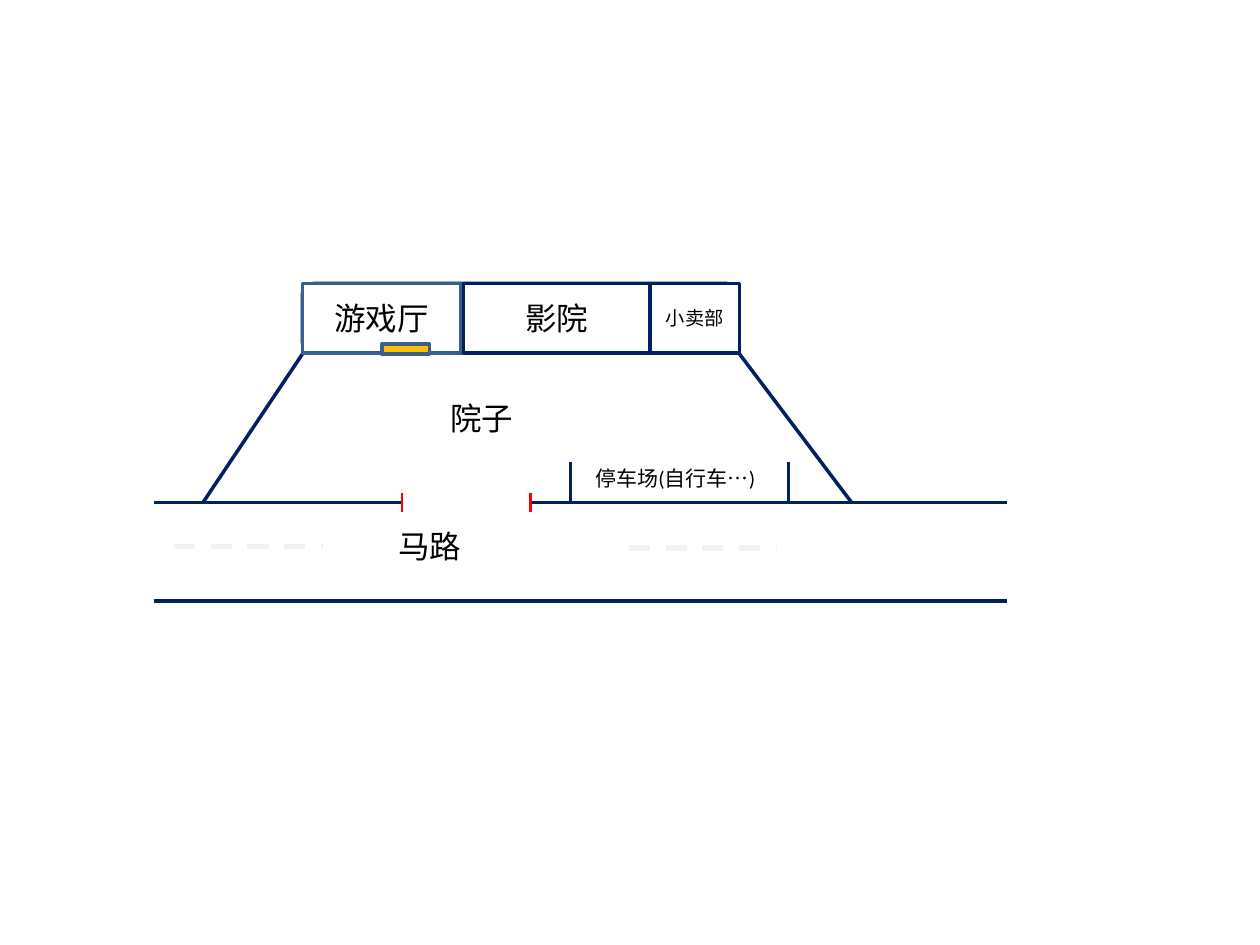
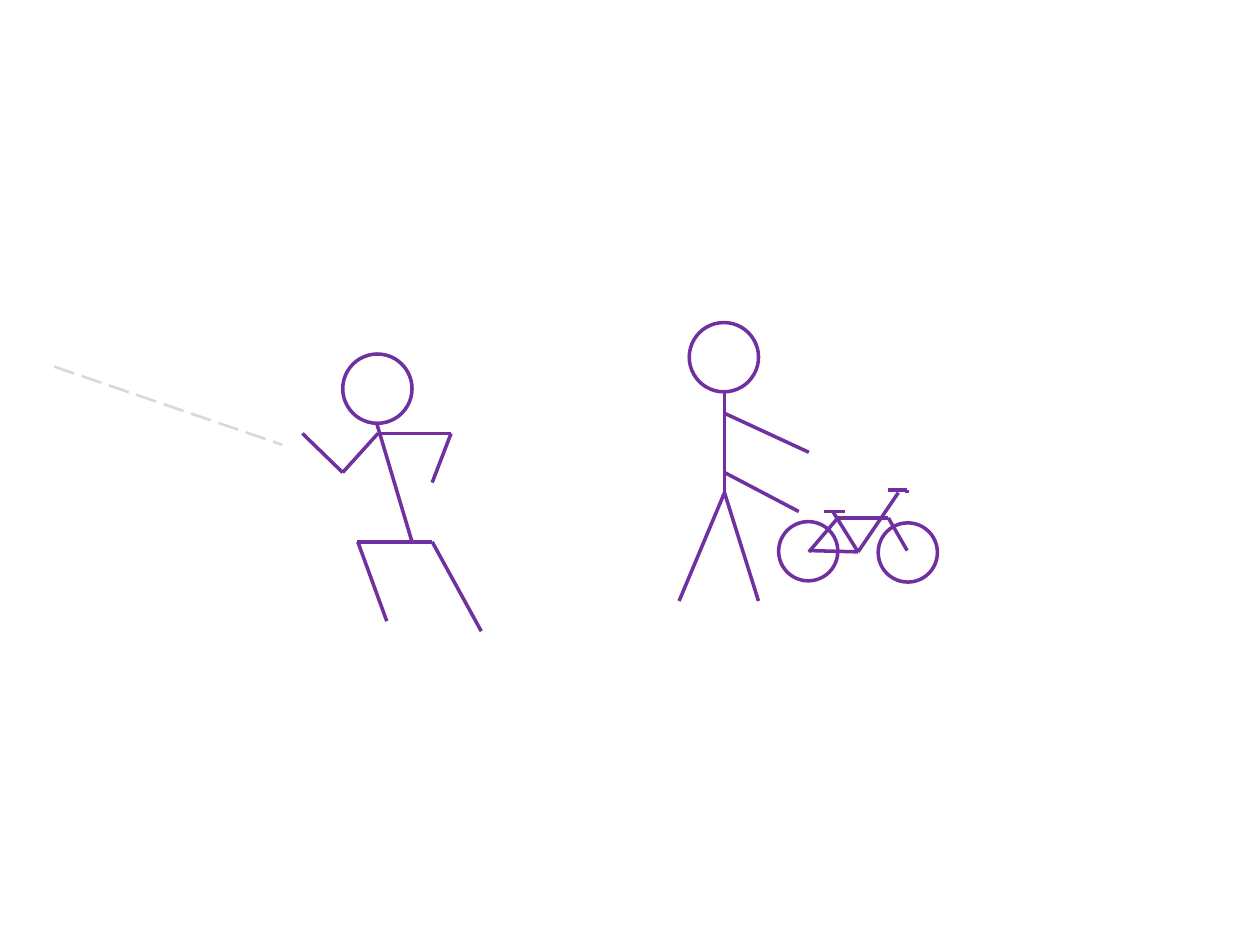
from itertools import pairwise

from lxml import etree
from pptx import Presentation
from pptx.dml.color import RGBColor
from pptx.enum.dml import MSO_LINE
from pptx.enum.shapes import MSO_CONNECTOR, MSO_SHAPE
from pptx.enum.text import MSO_ANCHOR, PP_ALIGN
from pptx.oxml.ns import qn
from pptx.util import Inches, Pt

# Shared look
NAVY = RGBColor(0x00, 0x20, 0x60)
STEEL = RGBColor(0x3A, 0x5F, 0x8C)
WHITE = RGBColor(0xFF, 0xFF, 0xFF)
BLACK = RGBColor(0x00, 0x00, 0x00)
RED = RGBColor(0xFF, 0x00, 0x00)
GOLD = RGBColor(0xFF, 0xC0, 0x00)
PURPLE = RGBColor(0x70, 0x30, 0xA0)
PALE_GREY = RGBColor(0xF2, 0xF2, 0xF2)
LIGHT_GREY = RGBColor(0xD9, 0xD9, 0xD9)
FONT = "Calibri"
RECT, ROUNDED, OVAL = MSO_SHAPE.RECTANGLE, MSO_SHAPE.ROUNDED_RECTANGLE, MSO_SHAPE.OVAL
STRAIGHT = MSO_CONNECTOR.STRAIGHT
DASH, LONG_DASH = MSO_LINE.DASH, MSO_LINE.LONG_DASH
CENTER, MIDDLE = PP_ALIGN.CENTER, MSO_ANCHOR.MIDDLE


def draw_path(slide, points, color, width=2, dash=None):
    """Join the points, given in inches, with straight lines."""
    for start, end in pairwise(points):
        stroke = slide.shapes.add_connector(
            STRAIGHT, *(Inches(value) for value in (*start, *end)))
        stroke.line.color.rgb = color
        stroke.line.width = Pt(width)
        if dash:
            stroke.line.dash_style = dash
        etree.SubElement(stroke._element.spPr, qn("a:effectLst"))


def draw_area(slide, kind, box, outline, fill=WHITE, label="", size=18):
    """Draw an outlined area with an optional centred label."""
    area = slide.shapes.add_shape(kind, *(Inches(value) for value in box))
    area.shadow.inherit = False
    area.line.color.rgb = outline
    area.line.width = Pt(2)
    if fill is None:
        area.fill.background()
    else:
        area.fill.solid()
        area.fill.fore_color.rgb = fill
    if label:
        area.text_frame.word_wrap = True
        area.text_frame.vertical_anchor = MIDDLE
        paragraph = area.text_frame.paragraphs[0]
        paragraph.alignment = CENTER
        run = paragraph.add_run()
        run.text = label
        run.font.name = FONT
        run.font.size = Pt(size)
        run.font.color.rgb = BLACK


prs = Presentation()
prs.slide_width, prs.slide_height = Inches(10), Inches(7.5)
blank = prs.slide_layouts[6]

# Slide 1: map of the yard and the road
site = prs.slides.add_slide(blank)
ROOF, DEPTH = 2.25, 0.55
FRONT = 2.81
KERB, FAR_KERB = 3.99, 4.77
ROAD_LEFT, ROAD_RIGHT = 1.22, 7.99
GATE_LEFT, GATE_RIGHT = 3.19, 4.21

# Yard walls and building
draw_path(site, [(1.61, KERB), (2.4, FRONT)], NAVY)
draw_area(site, ROUNDED, (2.4, ROOF, 3.46, DEPTH), NAVY)
draw_path(site, [(6.76, KERB), (5.87, FRONT)], NAVY)
for left, width, outline, name, size in [
    (2.4, 1.26, STEEL, "游戏厅", 18),
    (3.68, 1.48, NAVY, "影院", 18),
    (5.16, 0.71, NAVY, "小卖部", 11),
]:
    draw_area(site, RECT, (left, ROOF, width, DEPTH), outline, label=name, size=size)
draw_area(site, RECT, (2.8, 3.04, 2.05, DEPTH), WHITE, label="院子")

# Road edges, open at the gate
for left, right, y in [
    (ROAD_LEFT, GATE_LEFT, KERB),
    (GATE_RIGHT, ROAD_RIGHT, KERB),
    (ROAD_LEFT, ROAD_RIGHT, FAR_KERB),
]:
    draw_path(site, [(left, y), (right, y)], NAVY)
draw_area(site, RECT, (2.4, 4.14, 2.02, 0.39), WHITE, label="马路")

# Bicycle park
for x in (4.53, 6.26):
    draw_path(site, [(x, KERB), (x, 3.67)], NAVY, 1.5)
draw_area(site, RECT, (4.61, 3.64, 1.5, 0.31), WHITE, label="停车场(自行车…)", size=12)

# Gate posts, arcade door and lane marks
for x in (GATE_LEFT, GATE_RIGHT):
    draw_path(site, [(x, 3.91), (x, 4.06)], RED, 1.5)
draw_area(site, RECT, (3.03, 2.73, 0.38, 0.08), STEEL, GOLD)
for x, y in [(1.38, 4.34), (4.99, 4.35)]:
    draw_path(site, [(x, y), (x + 1.18, y)], PALE_GREY, 3, DASH)

# Slide 2: a runner, and a person with a bicycle
people = prs.slides.add_slide(blank)
HEAD, WHEEL = 0.55, 0.47

# Runner
draw_area(people, OVAL, (2.72, 2.81, HEAD, HEAD), PURPLE)
shoulder = (3, 3.44)
runner = [
    [(2.99, 3.36), (3.27, 4.3)],                 # torso
    [(3.43, 4.3), (2.83, 4.3)],                  # hips
    [(2.84, 4.3), (3.07, 4.93)],                 # back leg
    [shoulder, (2.72, 3.75), (2.4, 3.44)],       # front arm
    [shoulder, (3.58, 3.44), (3.43, 3.83)],      # back arm
    [(3.43, 4.3), (3.82, 5.01)],                 # front leg
]
for limb in runner:
    draw_path(people, limb, PURPLE)

# Standing person
draw_area(people, OVAL, (5.47, 2.56, HEAD, HEAD), PURPLE)
SPINE = 5.75
for top, end in [
    (3.11, (SPINE, 3.91)),
    (3.28, (6.42, 3.59)),
    (3.75, (6.34, 4.06)),
    (3.91, (5.39, 4.77)),
    (3.91, (6.02, 4.77)),
]:
    draw_path(people, [(SPINE, top), end], PURPLE)

# Bicycle
draw_area(people, OVAL, (6.18, 4.14, WHEEL, WHEEL), PURPLE)
draw_area(people, OVAL, (6.97, 4.15, WHEEL, WHEEL), PURPLE, None)
pedals = (6.81, 4.38)
bicycle = [
    [(6.42, 4.37), pedals],                                     # chain stay
    [(6.42, 4.38), (6.65, 4.11), (7.05, 4.11), (7.2, 4.37)],    # frame and fork
    [pedals, (7.13, 3.91)],                                     # steering tube
    [(7.05, 3.89), (7.2, 3.89), (7.2, 3.91)],                   # handlebar
    [(6.61, 4.06), pedals],                                     # seat tube
    [(6.54, 4.06), (6.71, 4.06)],                               # saddle
]
for tube in bicycle:
    draw_path(people, tube, PURPLE)

# Dashed line ahead of the runner
draw_path(people, [(0.43, 2.91), (2.24, 3.53)], LIGHT_GREY, 1.5, LONG_DASH)

prs.save("out.pptx")
